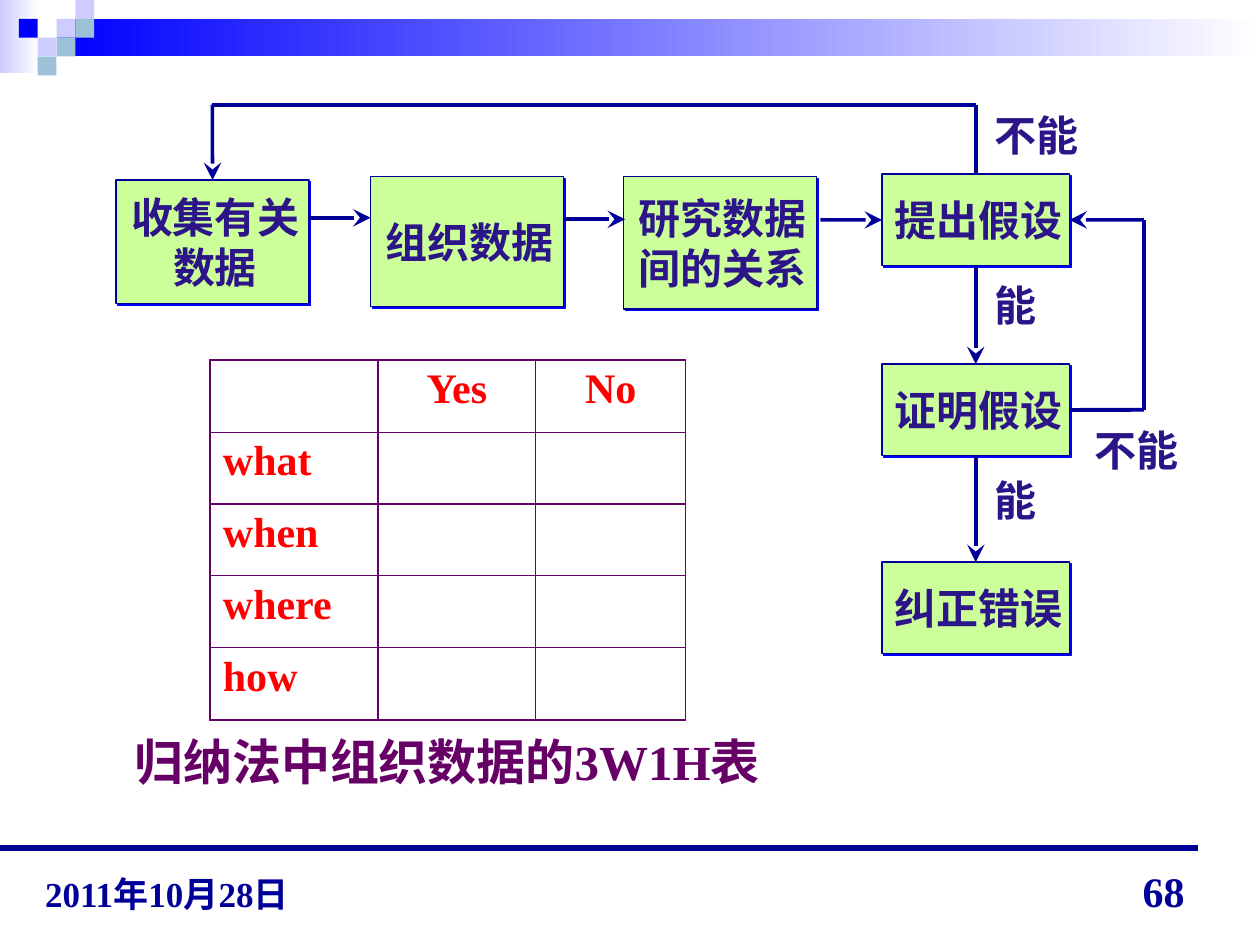
from dataclasses import dataclass

from lxml.etree import SubElement
from pptx import Presentation
from pptx.dml.color import RGBColor
from pptx.enum.lang import MSO_LANGUAGE_ID
from pptx.enum.shapes import MSO_CONNECTOR, MSO_SHAPE
from pptx.enum.text import MSO_ANCHOR, PP_ALIGN
from pptx.oxml.ns import qn
from pptx.util import Cm, Pt

RECT = MSO_SHAPE.RECTANGLE
LINE = MSO_CONNECTOR.STRAIGHT
LEFT, MID, RIGHT = PP_ALIGN.LEFT, PP_ALIGN.CENTER, PP_ALIGN.RIGHT
TOP, CENTER, BASE = MSO_ANCHOR.TOP, MSO_ANCHOR.MIDDLE, MSO_ANCHOR.BOTTOM
CHINESE = MSO_LANGUAGE_ID.SIMPLIFIED_CHINESE


@dataclass(frozen=True)
class Theme:
    font: str = "Times New Roman"
    navy: str = "000099"
    blue: str = "0000FF"
    pale: str = "CCCCFF"
    teal: str = "9DC2D7"
    white: str = "FFFFFF"
    green: str = "CCFF99"
    ink: str = "2C1588"
    red: str = "FF0000"
    plum: str = "660066"
    small: int = 20
    body: int = 24
    large: int = 28


THEME = Theme()


def rgb(code):
    return RGBColor.from_string(code)


def write(frame, text, size=THEME.body, color=THEME.ink, align=LEFT,
          anchor=TOP, wrap=True):
    frame.text = text
    frame.word_wrap = wrap
    frame.vertical_anchor = anchor
    for para in frame.paragraphs:
        para.alignment = align
        for run in para.runs:
            font = run.font
            font.name, font.size, font.bold = THEME.font, Pt(size), True
            font.color.rgb = rgb(color)
            font.language_id = CHINESE


def label(slide, text, x, y, w=3, h=1.27, **style):
    box = slide.shapes.add_textbox(Cm(x), Cm(y), Cm(w), Cm(h))
    write(box.text_frame, text, **style)


def block(slide, x, y, w, h):
    shape = slide.shapes.add_shape(RECT, Cm(x), Cm(y), Cm(w), Cm(h))
    shape.shadow.inherit = False
    shape.line.fill.background()
    return shape


def fade(slide, x, y, w, h, color):
    fill = block(slide, x, y, w, h).fill
    fill.gradient()
    fill.gradient_angle = 0
    for stop, code in zip(fill.gradient_stops, (color, THEME.white)):
        stop.color.rgb = rgb(code)


def tile(slide, col, row, color, unit=0.38):
    fill = block(slide, col * unit, row * unit, unit, unit).fill
    fill.solid()
    fill.fore_color.rgb = rgb(color)


def step(slide, text, x, y, w, h):
    shape = block(slide, x, y, w, h)
    shape.fill.solid()
    shape.fill.fore_color.rgb = rgb(THEME.green)
    shape.line.color.rgb = rgb(THEME.navy)
    shape.line.width = Pt(0.75)
    effects = shape._element.spPr.find(qn("a:effectLst"))
    shade = SubElement(effects, qn("a:outerShdw"), blurRad="0",
                       dist=str(Pt(1.4)), dir="2700000", algn="ctr",
                       rotWithShape="0")
    SubElement(shade, qn("a:srgbClr"), val=THEME.blue)
    frame = shape.text_frame
    frame.margin_left, frame.margin_right = Cm(0.2), Cm(0.1)
    write(frame, text, align=MID, anchor=CENTER, wrap=False)
    return shape


def link(slide, start, end, width=2, arrow=False, tail=None, head=None):
    line = slide.shapes.add_connector(LINE, *map(Cm, start + end))
    line.line.color.rgb = rgb(THEME.navy)
    line.line.width = Pt(width)
    props = line._element.spPr
    if arrow:
        SubElement(props.find(qn("a:ln")), qn("a:tailEnd"), type="stealth",
                   w="lg", len="lg")
    SubElement(props, qn("a:effectLst"))
    if tail:
        line.begin_connect(*tail)
    if head:
        line.end_connect(*head)


def border(cell, widths):
    props = cell._tc.get_or_add_tcPr()
    for spot, (side, width) in enumerate(zip("LRTB", widths)):
        edge = SubElement(props, qn("a:ln" + side), w=str(Pt(width)))
        fill = SubElement(edge, qn("a:solidFill"))
        SubElement(fill, qn("a:srgbClr"), val=THEME.plum)
        props.insert(spot, edge)


def grid(slide, rows, x, y, cols, high):
    count = len(rows)
    table = slide.shapes.add_table(count, len(cols), Cm(x), Cm(y),
                                   Cm(sum(cols)), Cm(high * count)).table
    table.first_row = table.horz_banding = False
    for col, wide in zip(table.columns, cols):
        col.width = Cm(wide)
    for r, row in enumerate(rows):
        table.rows[r].height = Cm(high)
        for c, text in enumerate(row):
            cell = table.cell(r, c)
            cell.fill.background()
            outer = (c == 0, c == len(cols) - 1, r == 0, r == count - 1)
            border(cell, [1.08 if rim else 0.75 for rim in outer])
            if text:
                write(cell.text_frame, text, color=THEME.red,
                      align=MID if c else LEFT)


def frame(slide):
    fade(slide, 0, 0, 0.79, 1.47, THEME.pale)
    fade(slide, 1.14, 0.38, 24.26, 0.76, THEME.blue)
    tiles = {THEME.pale: [(3, 1), (4, 0), (2, 2)],
             THEME.teal: [(4, 1), (3, 2), (2, 3)],
             THEME.blue: [(1, 1)]}
    for color, spots in tiles.items():
        for col, row in spots:
            tile(slide, col, row, color)
    link(slide, (0, 17.09), (24.16, 17.09), width=3.25)
    label(slide, "68", 18.21, 17.32, 5.92, color=THEME.navy,
          align=RIGHT, anchor=BASE)
    label(slide, "2011年10月28日", 0.66, 17.25, 6.53, 1.32,
          size=THEME.small, color=THEME.navy, anchor=BASE)


def flow(slide):
    gather = step(slide, "收集有关\n数据", 2.34, 3.63, 3.89, 2.49)
    step(slide, "组织数据", 7.47, 3.56, 3.89, 2.62)
    step(slide, "研究数据\n间的关系", 12.57, 3.56, 3.89, 2.67)
    pose, prove, fix = [
        step(slide, text, 17.78, y, 3.78, 1.85)
        for text, y in (("提出假设", 3.51), ("证明假设", 7.34),
                        ("纠正错误", 11.33))]

    first, last, loop = 4.28, 19.67, 2.11
    edge, back, high, low = 21.56, 23.06, 4.43, 8.26
    link(slide, (6.22, 4.39), (7.47, 4.39), arrow=True)
    link(slide, (11.35, 4.42), (12.6, 4.42), arrow=True)
    link(slide, (16.54, high), (17.78, high), arrow=True, head=(pose, 1))
    link(slide, (last, 5.36), (last, 7.34), arrow=True,
         tail=(pose, 2), head=(prove, 0))
    link(slide, (last, 9.19), (last, 11.33), arrow=True,
         tail=(prove, 2), head=(fix, 0))

    link(slide, (last, 3.51), (last, loop), tail=(pose, 0))
    link(slide, (last, loop), (first, loop), width=2.25)
    link(slide, (first, loop), (first, 3.63), arrow=True, head=(gather, 0))

    link(slide, (edge, low), (back, low), width=2.25, tail=(prove, 3))
    link(slide, (back, low), (back, high), width=2.25)
    link(slide, (back, high), (edge, high), arrow=True, head=(pose, 3))

    for text, x, y in (("不能", 19.79, 2.08), ("能", 19.79, 5.51),
                       ("能", 19.79, 9.45), ("不能", 21.82, 8.43)):
        label(slide, text, x, y)


def main():
    deck = Presentation()
    deck.slide_width, deck.slide_height = Cm(25.4), Cm(19.05)
    slide = deck.slides.add_slide(deck.slide_layouts[6])
    frame(slide)
    flow(slide)
    rows = [("", "Yes", "No")]
    rows += [(word, "", "") for word in ("what", "when", "where", "how")]
    grid(slide, rows, 4.24, 7.26, (3.38, 3.18, 3.02), 1.45)
    label(slide, "归纳法中组织数据的3W1H表", 2.46, 14.63, 14.5, 1.45,
          size=THEME.large, color=THEME.plum)
    deck.save("out.pptx")


if __name__ == "__main__":
    main()
